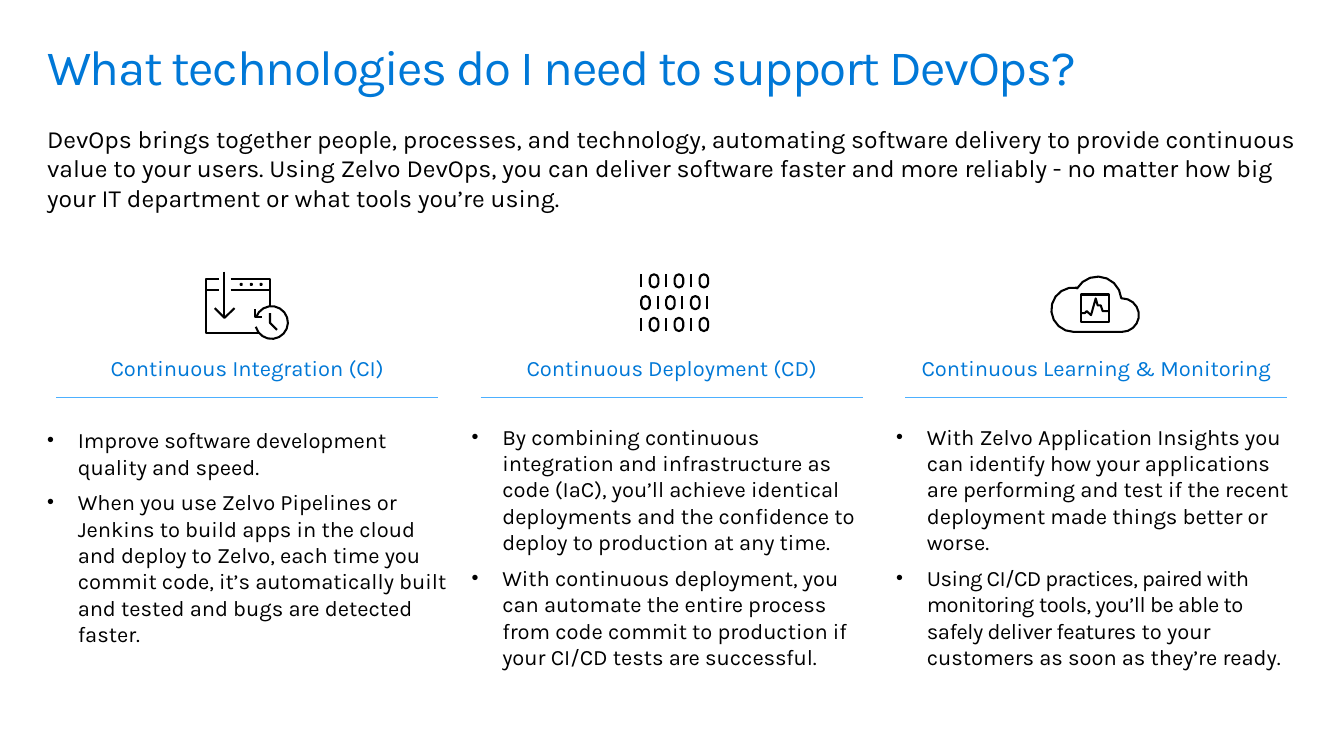
import math

from lxml import etree
from pptx import Presentation
from pptx import util as u
from pptx.dml.color import RGBColor
from pptx.enum import shapes, text
from pptx.oxml import ns

BLUE, BLACK, WHITE, RULE = "0078D7", "000000", "FFFFFF", "4DB0FF"
LEFT, PITCH, COL_TOP, COL_W = 1.21, 10.91, 9.12, 10.29

INTRO = ("DevOps brings together people, processes, and technology, automating software delivery "
         "to provide continuous value to your users. Using Zelvo DevOps, you can deliver software "
         "faster and more reliably - no matter how big your IT department or what tools you’re using.")


def rgb(color):
    """Turn a hex string into a colour."""
    return RGBColor.from_string(color)


def add_run(p, words, size, color, spacing=0):
    """Add one formatted run; spacing is in points."""
    r = p.add_run()
    r.text = words
    r.font.name, r.font.size = "Karla", u.Pt(size)
    r.font.color.rgb = rgb(color)
    if spacing:
        r._r.get_or_add_rPr().set("spc", str(round(spacing * 100)))


def add_box(s, x, y, w, h, top=0):
    """Add a wrapping text box and return its text frame."""
    tf = s.shapes.add_textbox(u.Cm(x), u.Cm(y), u.Cm(w), u.Cm(h)).text_frame
    tf.word_wrap = True
    tf.margin_left = tf.margin_right = tf.margin_bottom = 0
    tf.margin_top = u.Cm(top)
    return tf


def add_bullet(p):
    """Give a paragraph a hanging bullet."""
    pPr = p._p.get_or_add_pPr()
    indent = u.Cm(0.79)
    pPr.set("marL", str(indent))
    pPr.set("indent", str(-indent))
    for tag, key, value in (("a:buSzPct", "val", "90000"), ("a:buFont", "typeface", "Arial"),
                            ("a:buChar", "char", "•")):
        etree.SubElement(pPr, ns.qn(tag)).set(key, value)


def arc(cx, cy, radius, start, end, step=20):
    """Return points along an arc, in degrees, clockwise on the slide."""
    steps = round(abs(end - start) / step)
    angles = (math.radians(start + (end - start) * i / steps) for i in range(steps + 1))
    return [(cx + radius * math.cos(a), cy + radius * math.sin(a)) for a in angles]


def draw(s, x, y, contours, fill=None):
    """Draw (points, closed) contours as one outline with its origin at x, y."""
    fb = None
    for points, closed in contours:
        (x0, y0), *rest = [(u.Cm(x + px), u.Cm(y + py)) for px, py in points]
        if fb is None:
            fb = s.shapes.build_freeform(x0, y0)
        else:
            fb.move_to(x0, y0)
        fb.add_line_segments(rest, close=closed)
    sp = fb.convert_to_shape()
    sp.shadow.inherit = False
    if fill:
        sp.fill.solid()
        sp.fill.fore_color.rgb = rgb(fill)
    else:
        sp.fill.background()
    sp.line.color.rgb, sp.line.width = rgb(BLACK), u.Pt(1.5)


def integration_icon(s, x, y):
    """Draw a window with a download arrow and a clock."""
    x, y = x + 4.08, y - 2.14
    window = [([(0.64, 0.18), (1.65, 0.18), (1.65, 1.57), (0, 1.57), (0, 0.18), (0.33, 0.18)], False),
              ([(0.64, 0.48), (1.65, 0.48)], False),
              ([(0, 0.48), (0.33, 0.48)], False),
              ([(0.23, 0.94), (0.48, 1.19), (0.74, 0.94)], False),
              ([(0.48, 0), (0.48, 1.19)], False)]
    dots = [(arc(cx, 0.33, 0.02, 0, 270, 90), True) for cx in (0.91, 1.17, 1.42)]
    draw(s, x, y, window + dots, WHITE)
    draw(s, x, y, [(arc(1.69, 1.31, 0.42, 165, -161), False),
                   ([(1.83, 1.5), (1.65, 1.32), (1.65, 1.07)], False),
                   ([(1.27, 0.97), (1.27, 1.17), (1.45, 1.17)], False)], WHITE)


def deployment_icon(s, x, y):
    """Draw three rows of binary digits."""
    zero = arc(0.11, 0.11, 0.11, 180, 360, 45) + arc(0.11, 0.23, 0.11, 0, 180, 45)
    digits = []
    for row, bits in enumerate(("101010", "010101", "101010")):
        dx, dy = 0, row * 0.56
        for bit in bits:
            glyph, closed, advance = (zero, True, 0.42) if bit == "0" else ([(0, 0), (0, 0.34)], False, 0.22)
            digits.append(([(dx + px, dy + py) for px, py in glyph], closed))
            dx += advance
    draw(s, x + 4.36, y - 2.07, digits)


def monitoring_icon(s, x, y):
    """Draw a cloud around a pulse chart."""
    x, y = x + 3.99, y - 2.01
    draw(s, x, y, [(arc(0.57, 0.85, 0.57, 90, 279) + arc(1.19, 0.61, 0.61, 210, 355)
                    + arc(1.82, 0.99, 0.43, 270, 450), True)])
    draw(s, x, y, [([(0.76, 1.17), (0.76, 0.46), (1.47, 0.46), (1.47, 1.17)], True),
                   ([(1.47, 0.89), (1.32, 0.89), (1.27, 0.74), (1.19, 0.74), (1.14, 0.56),
                     (1.02, 0.99), (0.91, 0.89), (0.86, 0.94), (0.76, 0.94)], False)])


COLUMNS = [
    (integration_icon, "Continuous Integration (CI)", 33.2, [
        [("Improve software development quality and speed.", 0)],
        [("When you use Zelvo Pipelines or Jenkins to build apps in the cloud and deploy to Zelvo, "
          "each time you commit code, it’s automatically built and tested and bugs are detected "
          "faster.", 0)]]),
    (deployment_icon, "Continuous Deployment (CD)", 30.7, [
        [("By combining continuous integration and infrastructure as code (IaC), you’ll achieve "
          "identical deployments and the confidence to deploy to production at any time.", 0)],
        [("With continuous deployment, you can automate the entire process from code commit to "
          "production if your CI/CD tests are successful.", 0)]]),
    (monitoring_icon, "Continuous Learning & Monitoring", 30.7, [
        [("With Zelvo Application Insights you can identify how your applications are performing "
          "and test if the recent deployment made things better or worse.", 0)],
        [("Using CI/CD practices, paired with monitoring ", -0.4),
         ("tools, you’ll be able to safely deliver features", -0.3),
         (" to your customers as soon as they’re ready.", 0)]]),
]


def add_header(s, x, y, w):
    """Place the title and the introduction."""
    p = add_box(s, x, y, w, 2.08, top=0.46).paragraphs[0]
    p.line_spacing = 0.9
    add_run(p, "What technologies do I need to support DevOps?", 36, BLUE, -1)
    p = add_box(s, x, y + 2.53, w, 2.31).paragraphs[0]
    add_run(p, INTRO, 18, BLACK)


def add_column(s, x, y, w, icon, heading, gap, bullets):
    """Place an icon, a heading, its rule and the bullets."""
    icon(s, x, y)
    tf = add_box(s, x, y, w, 8)
    p = tf.paragraphs[0]
    p.alignment, p.space_after = text.PP_ALIGN.CENTER, u.Pt(gap)
    add_run(p, heading, 16, BLUE)
    for runs in bullets:
        p = tf.add_paragraph()
        add_bullet(p)
        p.space_after = u.Pt(7)
        for words, spacing in runs:
            add_run(p, words, 16, BLACK, spacing)
    rule_y = u.Cm(y + 1.09)
    ln = s.shapes.add_connector(shapes.MSO_CONNECTOR.STRAIGHT, u.Cm(x + 0.23), rule_y,
                                u.Cm(x + w - 0.24), rule_y)
    ln.line.color.rgb, ln.line.width = rgb(RULE), u.Pt(1)
    etree.SubElement(ln._element.spPr, ns.qn("a:effectLst"))


def main():
    """Build and save the slide."""
    prs = Presentation()
    prs.slide_width, prs.slide_height = u.Cm(34.54), u.Cm(19.43)
    s = prs.slides.add_slide(prs.slide_layouts[6])
    add_header(s, LEFT, 0.64, 32.13)
    for i, column in enumerate(COLUMNS):
        add_column(s, LEFT + i * PITCH, COL_TOP, COL_W, *column)
    prs.save("out.pptx")


if __name__ == "__main__":
    main()
